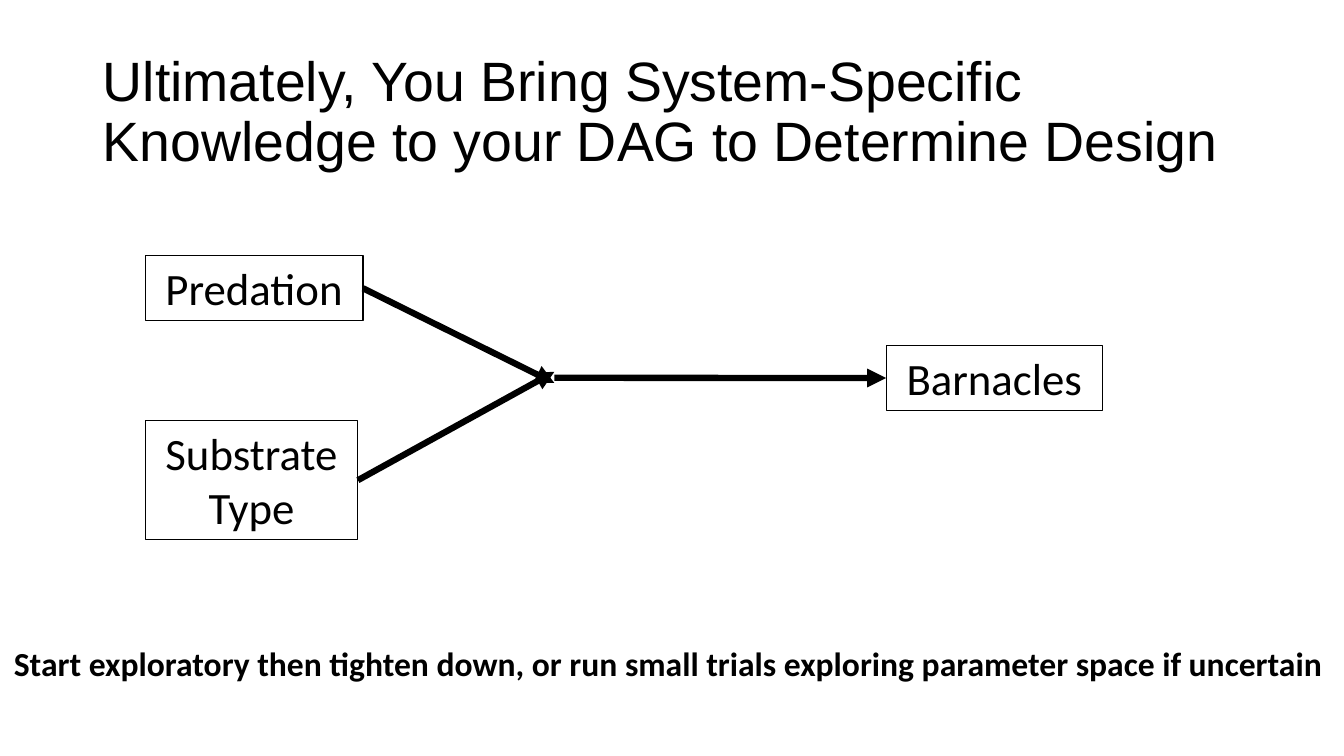
from lxml import etree
from pptx import Presentation
from pptx.dml.color import RGBColor
from pptx.enum.shapes import MSO_CONNECTOR, MSO_SHAPE
from pptx.enum.text import MSO_ANCHOR, PP_ALIGN
from pptx.oxml.ns import qn
from pptx.util import Cm, Pt

BLACK = RGBColor(0x00, 0x00, 0x00)
RECT = MSO_SHAPE.RECTANGLE
STRAIGHT = MSO_CONNECTOR.STRAIGHT
MIDDLE = MSO_ANCHOR.MIDDLE
TOP = MSO_ANCHOR.TOP
CENTER = PP_ALIGN.CENTER
LEFT = PP_ALIGN.LEFT
LEFT_SIDE, RIGHT_SIDE = 1, 3


def write(sp, lines, font, size, align=LEFT, anchor=TOP, wrap=False, bold=False, spacing=1.0):
    tf = sp.text_frame
    tf.word_wrap = wrap
    tf.vertical_anchor = anchor
    for i, line in enumerate(lines):
        p = tf.add_paragraph() if i else tf.paragraphs[0]
        p.alignment = align
        p.line_spacing = spacing
        r = p.add_run()
        r.text = line
        r.font.name = font
        r.font.size = Pt(size)
        r.font.bold = bold
        r.font.color.rgb = BLACK


prs = Presentation()
prs.slide_width = Cm(33.87)
prs.slide_height = Cm(19.05)
s = prs.slides.add_slide(prs.slide_layouts[6])

title = s.shapes.add_textbox(Cm(2.34), Cm(1.02), Cm(29.21), Cm(3.68))
write(title, ["Ultimately, You Bring System-Specific Knowledge to your DAG to Determine Design"],
      "Arial", 39.6, anchor=MIDDLE, wrap=True, spacing=0.9)

nodes = {}
for lines, x, y, w, h in [
    (["Barnacles"], 22.33, 8.71, 5.46, 1.63),
    (["Substrate", "Type"], 3.66, 10.6, 5.36, 3),
    (["Predation"], 3.66, 6.45, 5.49, 1.63),
]:
    sp = s.shapes.add_shape(RECT, Cm(x), Cm(y), Cm(w), Cm(h))
    sp.shadow.inherit = False
    sp.fill.background()
    sp.line.color.rgb = BLACK
    sp.line.width = Pt(0.75)
    write(sp, lines, "Calibri", 32, align=CENTER)
    nodes[lines[0]] = sp

JOIN_X = 13.97
for source, target, join_y in [
    ("Substrate", None, 9.37),
    (None, "Barnacles", 9.52),
    ("Predation", None, 9.65),
]:
    arrow = s.shapes.add_connector(STRAIGHT, Cm(JOIN_X), Cm(join_y), Cm(JOIN_X), Cm(join_y))
    if source:
        arrow.begin_connect(nodes[source], RIGHT_SIDE)
    if target:
        arrow.end_connect(nodes[target], LEFT_SIDE)
    arrow.line.color.rgb = BLACK
    arrow.line.width = Pt(4.5)
    etree.SubElement(arrow.line._get_or_add_ln(), qn("a:tailEnd"), type="triangle")
    etree.SubElement(arrow._element.spPr, qn("a:effectLst"))

advice = s.shapes.add_textbox(Cm(0.1), Cm(16.08), Cm(33.8), Cm(1.28))
write(advice, ["Start exploratory then tighten down, or run small trials exploring parameter space if uncertain"],
      "Calibri", 24, bold=True)

prs.save("out.pptx")
